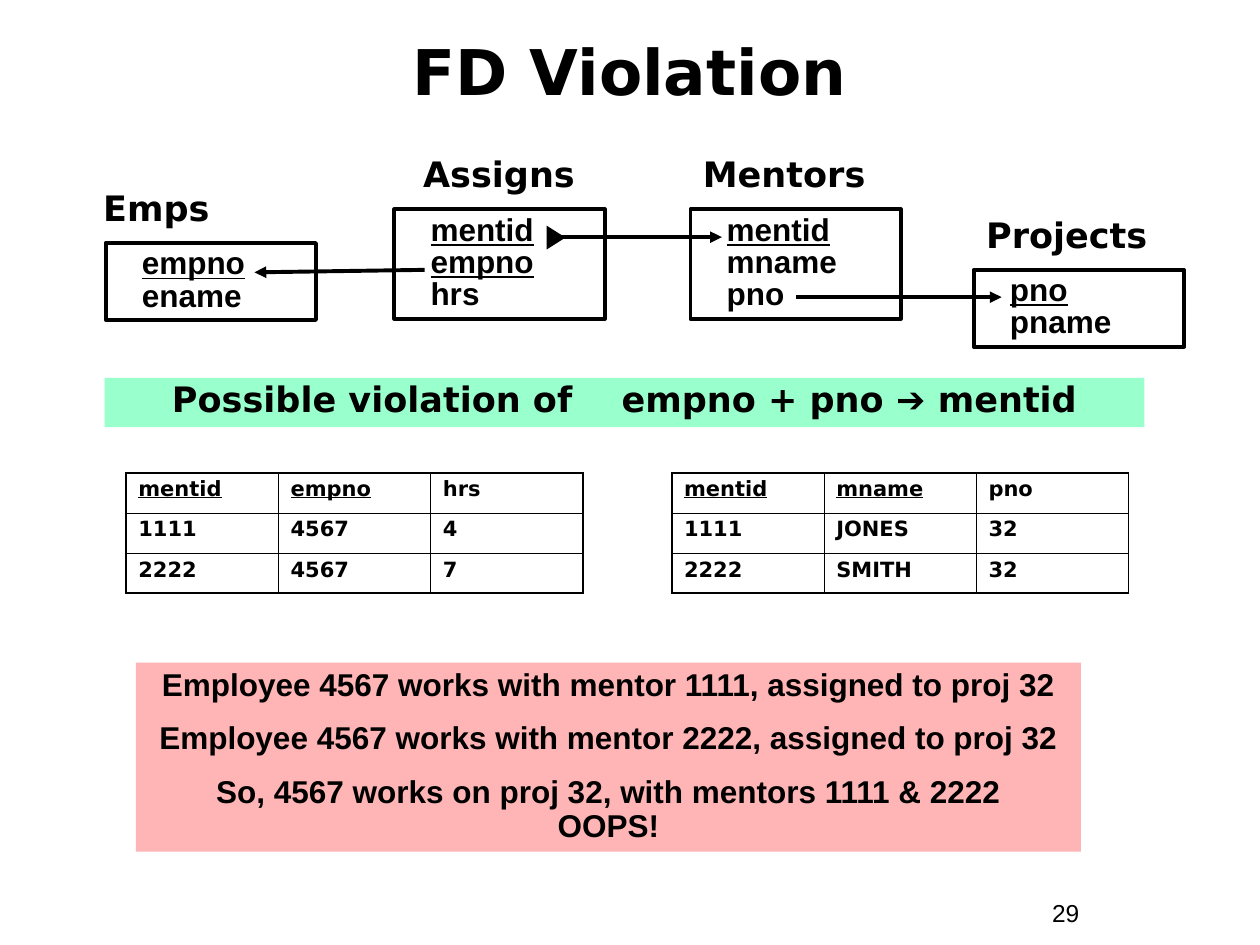
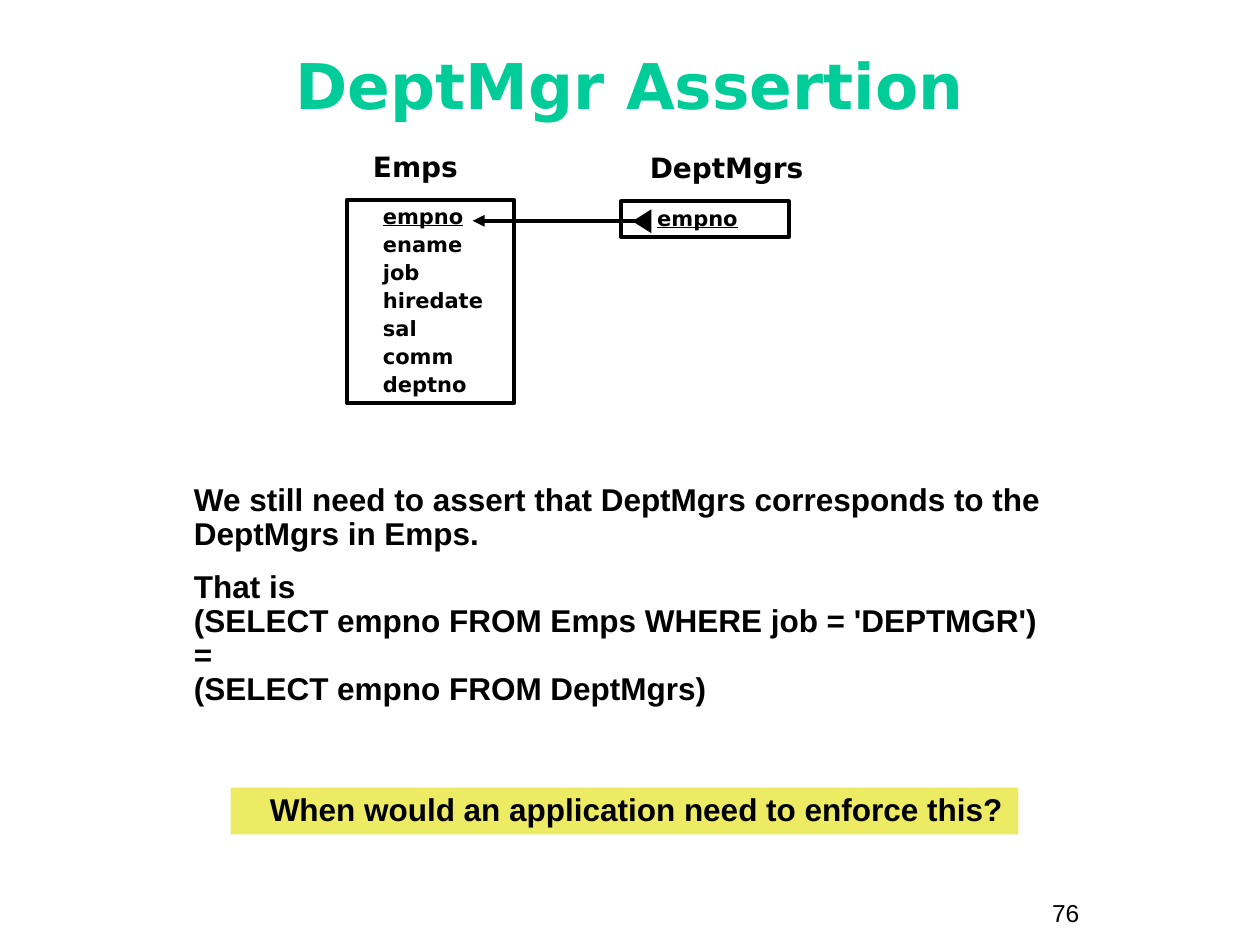
from dataclasses import dataclass, field

from lxml import etree
from pptx import Presentation
from pptx.dml.color import RGBColor
from pptx.enum.shapes import MSO_CONNECTOR, MSO_SHAPE
from pptx.enum.text import MSO_ANCHOR, PP_ALIGN
from pptx.oxml.ns import qn
from pptx.util import Cm, Pt

RECT = MSO_SHAPE.RECTANGLE
WEDGE = MSO_SHAPE.ISOSCELES_TRIANGLE
STRAIGHT = MSO_CONNECTOR.STRAIGHT
LEFT, CENTER = PP_ALIGN.LEFT, PP_ALIGN.CENTER
TOP, MIDDLE = MSO_ANCHOR.TOP, MSO_ANCHOR.MIDDLE
HEAD, SANS = "DejaVu Sans", "Arial"


@dataclass(frozen=True)
class Scheme:
    """Sizes and spacing of one kind of entity diagram."""
    width: float
    pitch: float
    pad: float
    rise: float
    label: dict
    items: dict


@dataclass(frozen=True)
class Theme:
    """Colours, type sizes and text formats of the deck."""
    ink: str = "000000"
    teal: str = "00CC99"
    mint: str = "99FFCC"
    pink: str = "FFB5B5"
    lemon: str = "EDEA63"
    line: float = 2.25
    edge: float = 1.08
    grid: float = 0.45
    title: dict = field(default_factory=lambda: dict(
        size=36, font=HEAD, align=CENTER, anchor=MIDDLE, lead=0.85))
    page: dict = field(default_factory=lambda: dict(size=14, bold=False))
    claim: dict = field(default_factory=lambda: dict(
        size=20, font=HEAD, align=CENTER, lead=0.85))
    body: dict = field(default_factory=lambda: dict(
        size=18, lead=0.9, before=11.2))
    cell: dict = field(default_factory=lambda: dict(
        size=12, font=HEAD, lead=0.9, before=6))
    large: Scheme = Scheme(
        4.24, 0.66, 0.23, 1.27, dict(size=20, font=HEAD),
        dict(size=18, lead=0.85, indent=0.48))
    small: Scheme = Scheme(
        3.38, 0.56, 0.16, 1.07, dict(size=16, font=HEAD, lead=0.9),
        dict(size=12, font=HEAD, lead=0.9, before=3, indent=0.48,
             anchor=MIDDLE))


THEME = Theme()


def rgb(code):
    """Turn a hex code into a colour."""
    return RGBColor.from_string(code)


def write(frame, lines, size=18, font=SANS, color=THEME.ink, bold=True,
          align=LEFT, anchor=TOP, lead=1.0, before=0, indent=0):
    """Fill a text frame; a leading underscore underlines a line.

    A line is a string or a list of (text, font, tracking) runs.
    """
    frame.word_wrap = True
    frame.vertical_anchor = anchor
    for n, line in enumerate(lines):
        para = frame.paragraphs[0] if n == 0 else frame.add_paragraph()
        para.alignment = align
        para.line_spacing = lead
        para.space_before = Pt(before)
        para._p.get_or_add_pPr().set("marL", str(Cm(indent)))
        runs = [(line, font, 0)] if isinstance(line, str) else line
        for words, face, track in runs:
            for m, part in enumerate(words.split("\n")):
                if m:
                    para.add_line_break()
                run = para.add_run()
                run.text = part.removeprefix("_")
                run.font.size = Pt(size)
                run.font.name = face
                run.font.bold = bold
                run.font.underline = part.startswith("_")
                run.font.color.rgb = rgb(color)
                if track:
                    run._r.get_or_add_rPr().set("spc", str(track))


def note(slide, lines, x, y, w, h, **style):
    """Add a text box."""
    box = slide.shapes.add_textbox(Cm(x), Cm(y), Cm(w), Cm(h))
    write(box.text_frame, lines, **style)


def shape(slide, kind, x, y, w, h, fill=None, line=None):
    """Add a flat shape with an optional fill and outline."""
    item = slide.shapes.add_shape(kind, Cm(x), Cm(y), Cm(w), Cm(h))
    item.shadow.inherit = False
    if fill:
        item.fill.solid()
        item.fill.fore_color.rgb = rgb(fill)
    else:
        item.fill.background()
    if line:
        item.line.color.rgb = rgb(line)
        item.line.width = Pt(THEME.line)
    else:
        item.line.fill.background()
    return item


def band(slide, lines, x, y, w, h, fill, **style):
    """Add a coloured band of text."""
    write(shape(slide, RECT, x, y, w, h, fill).text_frame, lines, **style)


def entity(slide, scheme, name, items, x, y, shift=0):
    """Add a named box that lists the attributes of an entity."""
    note(slide, [name], x + shift, y - scheme.rise, scheme.width + 0.5, 1,
         **scheme.label)
    high = scheme.pad + scheme.pitch * len(items)
    box = shape(slide, RECT, x, y, scheme.width, high, line=THEME.ink)
    write(box.text_frame, items, **scheme.items)


def arrow(slide, x1, y1, x2, y2):
    """Add a line with an arrowhead at its end."""
    link = slide.shapes.add_connector(STRAIGHT, Cm(x1), Cm(y1), Cm(x2), Cm(y2))
    link.line.color.rgb = rgb(THEME.ink)
    link.line.width = Pt(THEME.line)
    etree.SubElement(link.line._get_or_add_ln(), qn("a:tailEnd"),
                     type="triangle")
    etree.SubElement(link._element.spPr, qn("a:effectLst"))


def wedge(slide, x, y, turn):
    """Add the solid triangle that starts an arrow."""
    shape(slide, WEDGE, x, y, 0.48, 0.38, THEME.ink).rotation = turn


def border(cell, sides):
    """Draw the four borders of a cell, given widths by side."""
    props = cell._tc.get_or_add_tcPr()
    for n, (side, width) in enumerate(sides.items()):
        edge = etree.Element(qn(f"a:ln{side}"), w=str(Pt(width)))
        fill = etree.SubElement(edge, qn("a:solidFill"))
        etree.SubElement(fill, qn("a:srgbClr"), val=THEME.ink)
        props.insert(n, edge)


def table(slide, rows, x, y, wide=3.07, high=0.81):
    """Add a ruled table with a heavier outer edge."""
    down, across = len(rows), len(rows[0])
    grid = slide.shapes.add_table(down, across, Cm(x), Cm(y),
                                  Cm(wide * across), Cm(high * down)).table
    grid.first_row = grid.horz_banding = False
    for r, row in enumerate(rows):
        for c, value in enumerate(row):
            cell = grid.cell(r, c)
            cell.fill.background()
            cell.margin_left = cell.margin_right = Cm(0.25)
            write(cell.text_frame, [value], **THEME.cell)
            outer = dict(L=c == 0, R=c == across - 1,
                         T=r == 0, B=r == down - 1)
            border(cell, {side: THEME.edge if rim else THEME.grid
                          for side, rim in outer.items()})


def start(deck, title, page, y, color=THEME.ink):
    """Add a slide with its title and page number."""
    slide = deck.slides.add_slide(deck.slide_layouts[6])
    note(slide, [page], 20.96, 17.98, 2.34, 0.86, **THEME.page)
    note(slide, [title], 0.84, y, 23.7, 2.34, color=color, **THEME.title)
    return slide


def breach(deck):
    """Build the slide on the violated dependency."""
    slide = start(deck, "FD Violation", "29", 0.36)
    for name, items, x, y, shift in (
            ("Emps", ["_empno", "ename"], 2.13, 4.9, -0.3),
            ("Assigns", ["_mentid", "_empno", "hrs"], 7.95, 4.22, 0.33),
            ("Mentors", ["_mentid", "mname", "pno"], 13.92, 4.22, 0),
            ("Projects", ["_pno", "pname"], 19.63, 5.44, 0)):
        entity(slide, THEME.large, name, items, x, y, shift)
    arrow(slide, 11.05, 4.78, 14.55, 4.78)
    arrow(slide, 16.05, 5.99, 20.19, 5.99)
    arrow(slide, 8.56, 5.44, 5.13, 5.49)
    wedge(slide, 10.97, 4.6, 90)
    claim = [("Possible violation of", HEAD, 0), (" ", HEAD, 2090),
             ("empno + pno ", HEAD, 0), ("➔", SANS, 0), (" mentid", HEAD, 0)]
    band(slide, [claim], 2.11, 7.62, 20.96, 0.99, THEME.mint, **THEME.claim)
    table(slide, [["_mentid", "_empno", "hrs"],
                  ["1111", "4567", "4"],
                  ["2222", "4567", "7"]], 2.54, 9.53)
    table(slide, [["_mentid", "_mname", "pno"],
                  ["1111", "JONES", "32"],
                  ["2222", "SMITH", "32"]], 13.54, 9.53)
    facts = [f"Employee 4567 works with mentor {mentor}, assigned to proj 32"
             for mentor in (1111, 2222)]
    facts.append("So, 4567 works on proj 32, with mentors 1111 & 2222\nOOPS!")
    band(slide, facts, 2.74, 13.36, 19.05, 3.81, THEME.pink,
         align=CENTER, **THEME.body)


def assertion(deck):
    """Build the slide on the manager assertion."""
    slide = start(deck, "DeptMgr Assertion", "76", 0.64, THEME.teal)
    entity(slide, THEME.small, "Emps",
           ["_empno", "ename", "job", "hiredate", "sal", "comm", "deptno"],
           6.99, 4.04, 0.28)
    entity(slide, THEME.small, "DeptMgrs", ["_empno"], 12.52, 4.06, 0.33)
    arrow(slide, 13.08, 4.45, 9.53, 4.45)
    wedge(slide, 12.7, 4.27, 270)
    note(slide,
         ["We still need to assert that DeptMgrs corresponds to the\n"
          "DeptMgrs in Emps.",
          "That is\n(SELECT empno FROM Emps WHERE job = 'DEPTMGR')\n=\n"
          "(SELECT empno FROM DeptMgrs)"],
         3.18, 9.63, 19.05, 4.78, indent=0.48, **THEME.body)
    band(slide, ["When would an application need to enforce this?"],
         4.65, 15.88, 15.88, 0.94, THEME.lemon,
         align=CENTER, indent=0.48, **THEME.body)


def main():
    """Build and save the deck."""
    deck = Presentation()
    deck.slide_width, deck.slide_height = Cm(25.4), Cm(19.05)
    breach(deck)
    assertion(deck)
    deck.save("out.pptx")


if __name__ == "__main__":
    main()
